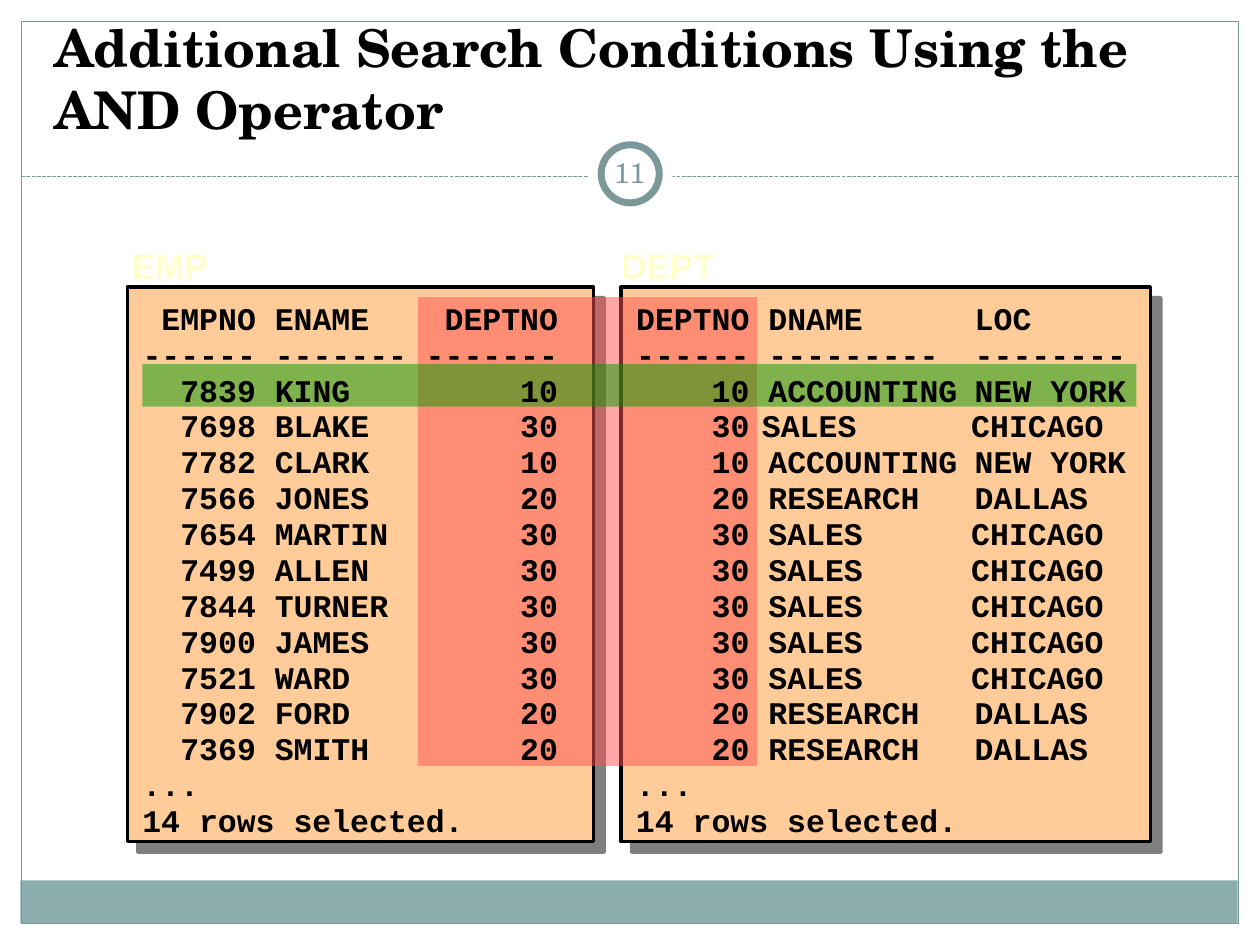
from lxml.etree import SubElement
from pptx import Presentation
from pptx.dml.color import RGBColor
from pptx.enum.dml import MSO_LINE
from pptx.enum.shapes import MSO_CONNECTOR, MSO_SHAPE
from pptx.enum.text import MSO_ANCHOR, MSO_AUTO_SIZE, PP_ALIGN
from pptx.oxml.ns import qn
from pptx.util import Cm, Pt

# Content
TITLE = "Additional Search Conditions Using the AND Operator"
PAGE = "11"
EMPLOYEES = [
    ("7839", "KING", "10"), ("7698", "BLAKE", "30"), ("7782", "CLARK", "10"),
    ("7566", "JONES", "20"), ("7654", "MARTIN", "30"), ("7499", "ALLEN", "30"),
    ("7844", "TURNER", "30"), ("7900", "JAMES", "30"), ("7521", "WARD", "30"),
    ("7902", "FORD", "20"), ("7369", "SMITH", "20"),
]
DEPARTMENTS = {
    "10": ("ACCOUNTING", "NEW YORK"),
    "20": ("RESEARCH", "DALLAS"),
    "30": ("SALES", "CHICAGO"),
}
FOOTER = [("...",), ("14 rows selected.",)]
EMP_ROWS = [("EMPNO", "ENAME", "DEPTNO"), ("-" * 6, "-" * 7, "-" * 7)] + EMPLOYEES
DEPT_ROWS = [("DEPTNO", "DNAME", "LOC"), ("-" * 6, "-" * 9, "-" * 8)]
DEPT_ROWS += [(number, *DEPARTMENTS[number]) for _, _, number in EMPLOYEES]

# Panels: name, left, width, label width, rows, tab stops (cm, alignment)
PANELS = [
    ("EMP", 2.57, 9.4, 2.24, EMP_ROWS, [(2.29, "r"), (2.67, "l"), (8.38, "r")]),
    ("DEPT", 12.52, 10.67, 2.59, DEPT_ROWS, [(2.29, "r"), (2.67, "l"), (6.83, "l")]),
]
LABEL_LEFT = [2.41, 12.27]
PANEL_TOP, PANEL_HEIGHT = 5.79, 11.18
FIRST_SALES_ROW = 3

# Formats
TEAL, BLACK = "7C999A", "000000"
HEADING = dict(name="TeX Gyre Schola", size=Pt(29.7), bold=True)
LABEL = dict(name="Arial", size=Pt(20), bold=True)
LISTING = dict(name="Courier New", size=Pt(18), bold=True)
NUMBER = dict(name="TeX Gyre Schola", size=Pt(16), bold=False)

deck = Presentation()
deck.slide_width, deck.slide_height = Cm(25.4), Cm(19.05)
slide = deck.slides.add_slide(deck.slide_layouts[5])
shapes = slide.shapes


def color(hex_code):
    return RGBColor.from_string(hex_code)


def style(paragraph, font_format, hex_code):
    for key, value in font_format.items():
        setattr(paragraph.font, key, value)
    paragraph.font.color.rgb = color(hex_code)


def add_block(box, fill=None, line=None, width=0.75, kind=MSO_SHAPE.RECTANGLE, alpha=None):
    block = shapes.add_shape(kind, *map(Cm, box))
    block.shadow.inherit = False
    if fill:
        block.fill.solid()
        block.fill.fore_color.rgb = color(fill)
    else:
        block.fill.background()
    if line:
        block.line.color.rgb = color(line)
        block.line.width = Pt(width)
    else:
        block.line.fill.background()
    if alpha:
        tint = block.fill._xPr.find(qn("a:solidFill"))[0]
        SubElement(tint, qn("a:alpha"), val=str(alpha * 1000))
    return block


def drop_shadow(block):
    effects = block._element.spPr.find(qn("a:effectLst"))
    shadow = SubElement(effects, qn("a:outerShdw"), blurRad="0", dist=str(Pt(8.5)),
                        dir="2700000", algn="ctr", rotWithShape="0")
    tint = SubElement(shadow, qn("a:srgbClr"), val=BLACK)
    SubElement(tint, qn("a:alpha"), val="50000")


def add_text(box, wrap=True):
    frame = shapes.add_textbox(*map(Cm, box)).text_frame
    frame.word_wrap = wrap
    return frame


def set_tabs(paragraph, stops):
    tabs = SubElement(paragraph._p.get_or_add_pPr(), qn("a:tabLst"))
    for position, align in stops:
        SubElement(tabs, qn("a:tab"), pos=str(Cm(position)), algn=align)


# Slide frame, bottom band and divider
add_block((0.41, 17.75, 24.54, 0.86), "8CADAE")
add_block((0.43, 0.43, 24.54, 18.19), line=TEAL)
divider = shapes.add_connector(MSO_CONNECTOR.STRAIGHT, Cm(0.43), Cm(3.56), Cm(24.97), Cm(3.56))
divider.line.color.rgb = color(TEAL)
divider.line.width = Pt(0.75)
divider.line.dash_style = MSO_LINE.SQUARE_DOT
SubElement(divider._element.spPr, qn("a:effectLst"))

# Page number ring
add_block((11.86, 2.67, 1.7, 1.7), "FFFFFF", kind=MSO_SHAPE.OVAL)
add_block((12.12, 2.92, 1.17, 1.17), "FFFFFF", TEAL, 4, MSO_SHAPE.OVAL)

# Panels
for _, left, width, *_ in PANELS:
    drop_shadow(add_block((left, PANEL_TOP, width, PANEL_HEIGHT), "FFCC99", BLACK, 2))

# Title
title = shapes.title
title.left, title.top, title.width, title.height = map(Cm, (0.84, 0.84, 23.7, 2.11))
title.text_frame.text = TITLE
title.text_frame.auto_size = MSO_AUTO_SIZE.NONE
title.text_frame.vertical_anchor = MSO_ANCHOR.BOTTOM
title.text_frame.paragraphs[0].alignment = PP_ALIGN.LEFT
style(title.text_frame.paragraphs[0], HEADING, BLACK)
shapes._spTree.append(title._element)

# Panel labels
for (name, _, _, width, *_), left in zip(PANELS, LABEL_LEFT):
    label = add_text((left, 4.8, width, 1.09), wrap=False)
    label.text = name
    style(label.paragraphs[0], LABEL, "FFFFCC")

# Highlights of the join columns and the matching row
add_block((8.43, 5.99, 6.83, 9.45), "FF5050", alpha=50)
add_block((2.87, 7.34, 20.04, 0.86), "009900", alpha=50)

# Listings
for name, left, width, _, rows, stops in PANELS:
    listing = add_text((left + 0.05, PANEL_TOP + 0.15, width - 0.08, PANEL_HEIGHT - 0.08))
    for index, row in enumerate(rows + FOOTER):
        line = listing.add_paragraph() if index else listing.paragraphs[0]
        line.line_spacing = Pt(20.5)
        line.add_run().text = "\t" * (len(row) > 1) + "\t".join(row)
        style(line, LISTING, BLACK)
        row_stops = list(stops)
        if row[-1] == "CHICAGO":
            row_stops[2] = (6.76, "l")
            if index == FIRST_SALES_ROW:
                row_stops[1] = (2.54, "l")
        set_tabs(line, row_stops)

# Page number
number = add_text((12.06, 2.87, 1.27, 1.22))
for side in ("left", "right", "top", "bottom"):
    setattr(number, f"margin_{side}", Cm(0.13))
number.vertical_anchor = MSO_ANCHOR.MIDDLE
number.text = PAGE
number.paragraphs[0].alignment = PP_ALIGN.CENTER
style(number.paragraphs[0], NUMBER, TEAL)

deck.save("out.pptx")
